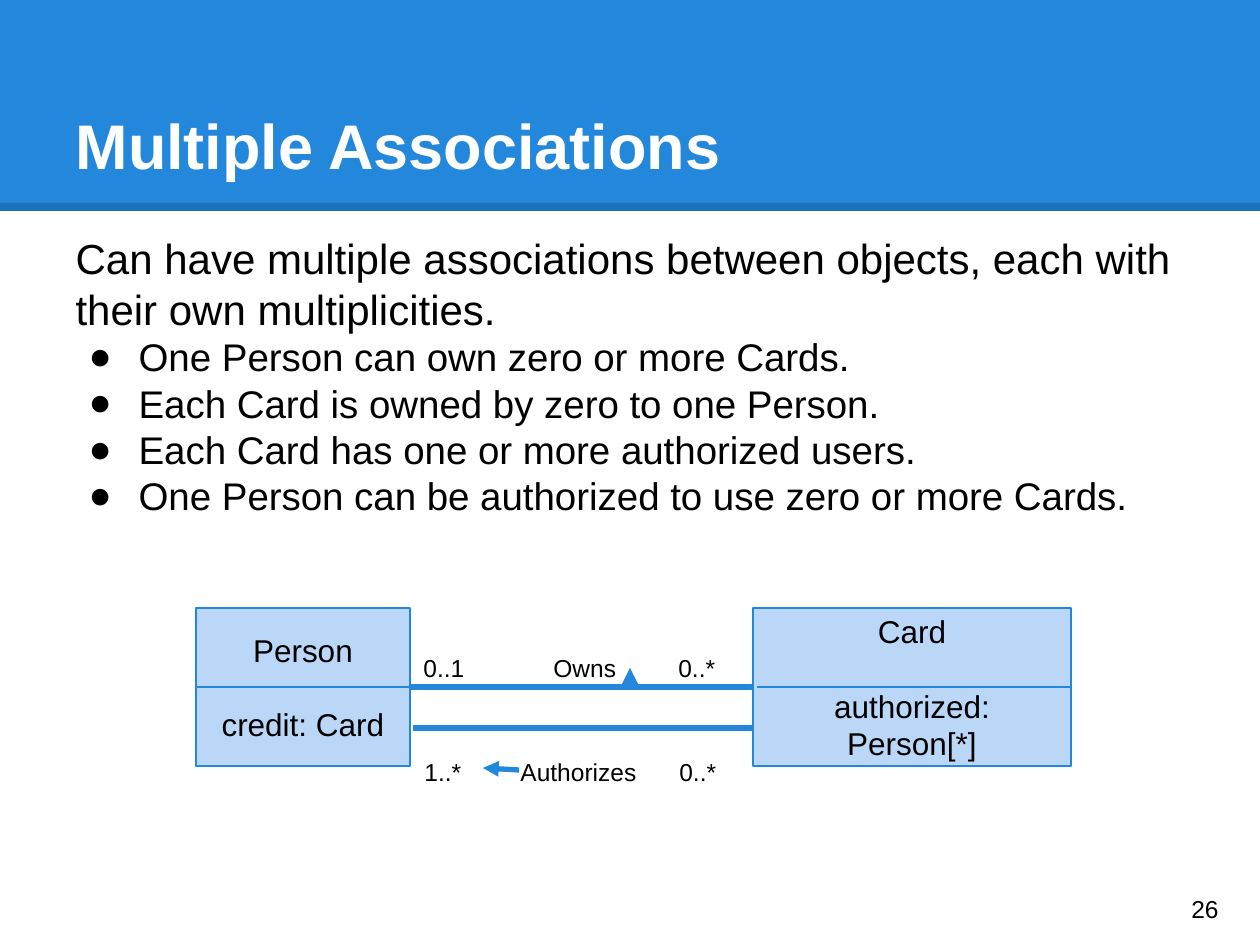
from dataclasses import dataclass

from lxml.etree import SubElement
from pptx import Presentation
from pptx.dml.color import RGBColor
from pptx.enum.shapes import MSO_CONNECTOR as CONN, MSO_SHAPE as SHAPE
from pptx.enum.text import MSO_ANCHOR as ANCHOR, MSO_AUTO_SIZE as FIT, PP_ALIGN as ALIGN
from pptx.oxml.ns import qn
from pptx.util import Emu, Pt

LEFT_SIDE, RIGHT_SIDE = 1, 3


@dataclass(frozen=True)
class Theme:
    font: str = "Arial"
    blue: str = "2388DB"
    pale: str = "BBD7F8"
    black: str = "000000"
    white: str = "FFFFFF"
    title: int = 36
    lead: int = 24
    bullet: int = 22
    box: int = 18
    label: int = 14
    thin: float = 1.5
    thick: float = 3
    rule: float = 4.5


T = Theme()


def px(n):
    return Emu(round(n * 914400 / 126))


def rgb(code):
    return RGBColor.from_string(code)


def place(sp, x, y, w, h):
    sp.left, sp.top, sp.width, sp.height = px(x), px(y), px(w), px(h)


def set_frame(sp, anchor):
    tf = sp.text_frame
    tf.word_wrap = True
    tf.auto_size = FIT.NONE
    tf.vertical_anchor = anchor
    tf.margin_left = tf.margin_right = tf.margin_top = tf.margin_bottom = Pt(7.2)
    return tf


def write(p, text, size, color=T.black, bold=False, align=ALIGN.LEFT, before=0):
    p.alignment = align
    p.space_before = Pt(before)
    r = p.add_run()
    r.text = text
    r.font.name = T.font
    r.font.size = Pt(size)
    r.font.bold = bold
    r.font.color.rgb = rgb(color)


def set_bullet(p, char=None):
    """Give the paragraph a hanging bullet, or none at all."""
    pPr = p._p.get_or_add_pPr()
    pPr.set("marL", str(px(63) if char else 0))
    pPr.set("indent", str(px(-50) if char else 0))
    if char:
        color = SubElement(pPr, qn("a:buClr"))
        SubElement(color, qn("a:srgbClr"), val=T.black)
        SubElement(pPr, qn("a:buFont"), typeface=T.font)
        SubElement(pPr, qn("a:buChar"), char=char)
    else:
        SubElement(pPr, qn("a:buNone"))


def add_rect(s, x, y, w, h, fill, line=None):
    sp = s.shapes.add_shape(SHAPE.RECTANGLE, px(x), px(y), px(w), px(h))
    sp.shadow.inherit = False
    sp.fill.solid()
    sp.fill.fore_color.rgb = rgb(fill)
    if line:
        sp.line.color.rgb = rgb(line)
        sp.line.width = Pt(T.thin)
    else:
        sp.line.fill.background()
    return sp


def add_line(s, start, end, width, color=T.blue, begin=None, finish=None, arrow=False):
    """Draw a line; begin and finish are (shape, connection site) pairs."""
    cx = s.shapes.add_connector(CONN.STRAIGHT, *map(px, start + end))
    cx.line.color.rgb = rgb(color)
    cx.line.width = Pt(width)
    if begin:
        cx.begin_connect(*begin)
    if finish:
        cx.end_connect(*finish)
    if arrow:
        SubElement(cx.line._get_or_add_ln(), qn("a:tailEnd"), type="triangle")
    SubElement(cx._element.spPr, qn("a:effectLst"))
    return cx


def add_header(s, title):
    band = add_rect(s, 0, 0, 1260, 211, T.blue)
    rule = add_line(s, (0, 207), (1260, 207), T.rule, T.black)
    color = rule.line._get_or_add_ln().find(".//" + qn("a:srgbClr"))
    SubElement(color, qn("a:alpha"), val="15000")
    for i, sp in enumerate((band, rule)):
        s.shapes._spTree.insert(2 + i, sp._element)
    place(s.shapes.title, 63, 38, 1134, 157)
    tf = set_frame(s.shapes.title, ANCHOR.BOTTOM)
    write(tf.paragraphs[0], title, T.title, T.white, bold=True)


def add_body(s, lead, bullets):
    body = s.placeholders[1]
    place(body, 63, 220, 1134, 122)
    tf = set_frame(body, ANCHOR.TOP)
    set_bullet(tf.paragraphs[0])
    write(tf.paragraphs[0], lead, T.lead)
    for text in bullets:
        p = tf.add_paragraph()
        set_bullet(p, "●")
        write(p, text, T.bullet)


def add_class(s, x, w, name, attribute):
    sp = add_rect(s, x, 608, w, 158, T.pale, T.blue)
    tf = set_frame(sp, ANCHOR.MIDDLE)
    write(tf.paragraphs[0], name, T.box, align=ALIGN.CENTER)
    write(tf.add_paragraph(), attribute, T.box, align=ALIGN.CENTER, before=21)
    return sp


def add_label(s, text, x, y, w, h=38, anchor=ANCHOR.TOP):
    tf = set_frame(s.shapes.add_textbox(px(x), px(y), px(w), px(h)), anchor)
    write(tf.paragraphs[0], text, T.label)


def add_diagram(s):
    person = add_class(s, 196, 214, "Person", "credit: Card")
    card = add_class(s, 753, 318, "Card", "authorized: Person[*]")
    middle, lower = 687, 728

    add_line(s, (410, middle), (753, middle), T.thick,
             begin=(person, RIGHT_SIDE), finish=(card, LEFT_SIDE))
    add_line(s, (753, lower), (413, lower), T.thick)
    add_line(s, (196, middle), (410, middle), T.thin,
             begin=(person, LEFT_SIDE), finish=(person, RIGHT_SIDE))
    add_line(s, (757, middle), (1071, middle), T.thin, finish=(card, RIGHT_SIDE))

    owns = (("0..1", 411, 72), ("Owns", 541, 195), ("0..*", 666, 87))
    authorizes = (("1..*", 412, 72), ("Authorizes", 508, 195), ("0..*", 667, 87))
    for y, labels in ((640, owns), (744, authorizes)):
        for text, x, w in labels:
            add_label(s, text, x, y, w)

    add_line(s, (630, 670), (630, 668), T.thick, arrow=True)
    add_line(s, (519, 770), (483, 768), T.thick, arrow=True)


def main():
    prs = Presentation()
    prs.slide_width, prs.slide_height = px(1260), px(945)
    s = prs.slides.add_slide(prs.slide_layouts[1])
    add_header(s, "Multiple Associations")
    add_body(
        s,
        "Can have multiple associations between objects, each with their own multiplicities.",
        ("One Person can own zero or more Cards.",
         "Each Card is owned by zero to one Person.",
         "Each Card has one or more authorized users.",
         "One Person can be authorized to use zero or more Cards."),
    )
    add_diagram(s)
    add_label(s, "26", 1179, 873, 76, 72, ANCHOR.MIDDLE)
    prs.save("out.pptx")


if __name__ == "__main__":
    main()
